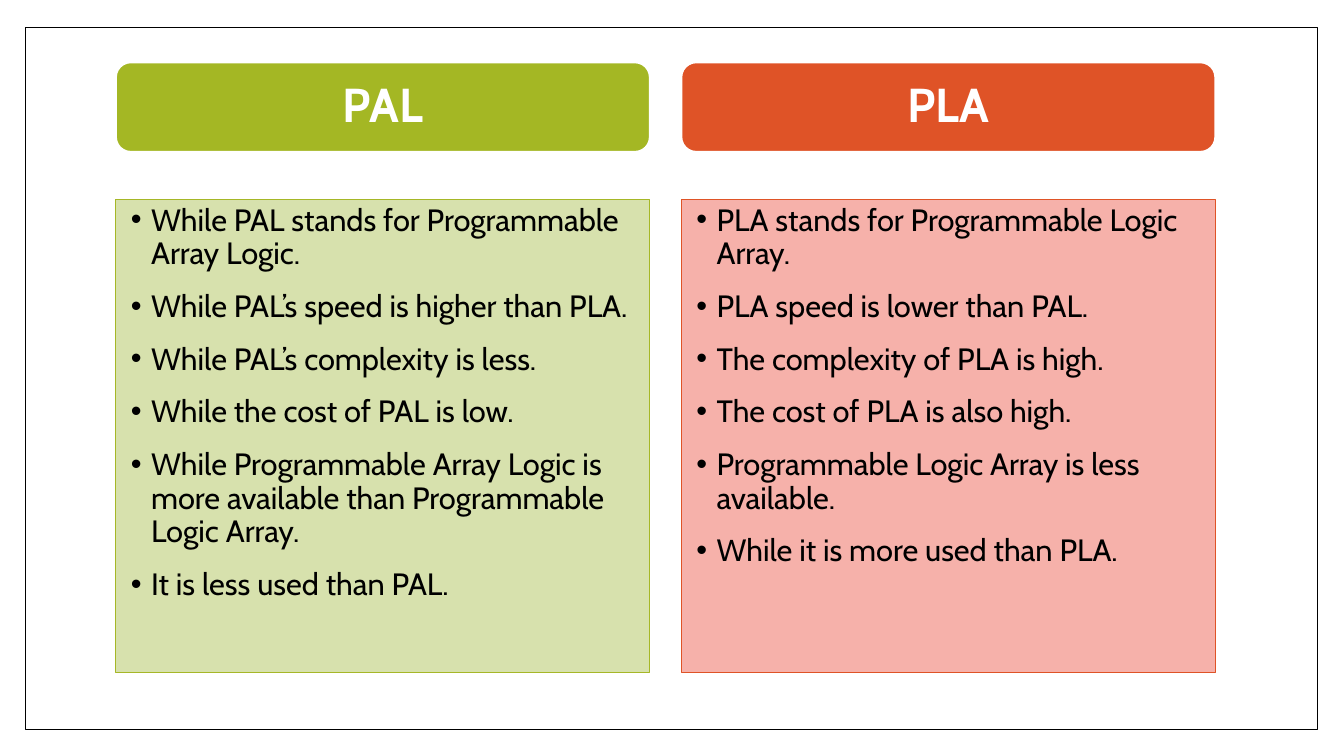
from dataclasses import dataclass

from lxml import etree
from pptx import Presentation
from pptx.dml.color import RGBColor
from pptx.enum.shapes import MSO_SHAPE
from pptx.enum.text import MSO_ANCHOR, PP_ALIGN
from pptx.oxml.ns import qn
from pptx.shapes.autoshape import Shape
from pptx.slide import Slide
from pptx.text.text import _Paragraph
from pptx.util import Cm, Pt

RECTANGLE = MSO_SHAPE.RECTANGLE
ROUNDED = MSO_SHAPE.ROUNDED_RECTANGLE
TOP, MIDDLE = MSO_ANCHOR.TOP, MSO_ANCHOR.MIDDLE
LEFT, CENTER = PP_ALIGN.LEFT, PP_ALIGN.CENTER

COLORS = {
    "white": "FFFFFF",
    "black": "000000",
    "green": "A4B724",
    "green edge": "A6B727",
    "pale green": "D7E1AD",
    "orange": "DF5327",
    "pale red": "F6B1AA",
}
FONT = "Cabin"
COLUMN_LEFT, COLUMN_STEP, COLUMN_WIDTH = 2.92, 14.25, 13.46
HEADER_TOP, HEADER_HEIGHT = 1.57, 2.26
BODY_TOP, BODY_HEIGHT = 5.03, 11.91


@dataclass
class Column:
    """One side of the comparison."""

    heading: str
    header_fill: str
    body_fill: str
    body_edge: str
    points: list[str]


COLUMNS = [
    Column("PAL", "green", "pale green", "green edge", [
        "While PAL stands for Programmable Array Logic.",
        "While PAL’s speed is higher than PLA.",
        "While PAL’s complexity is less.",
        "While the cost of PAL is low.",
        "While Programmable Array Logic is more available than Programmable Logic Array.",
        "It is less used than PAL.",
    ]),
    Column("PLA", "orange", "pale red", "orange", [
        "PLA stands for Programmable Logic Array.",
        "PLA speed is lower than PAL.",
        "The complexity of PLA is high.",
        "The cost of PLA is also high.",
        "Programmable Logic Array is less available.",
        "While it is more used than PLA.",
    ]),
]


def color(name: str) -> RGBColor:
    """Look up a named colour."""
    return RGBColor.from_string(COLORS[name])


def add_box(page: Slide, kind: MSO_SHAPE, left: float, top: float, width: float,
            height: float, fill: str, edge: str, weight: float) -> Shape:
    """Draw a filled and outlined shape, measured in centimetres."""
    box = page.shapes.add_shape(kind, Cm(left), Cm(top), Cm(width), Cm(height))
    box.shadow.inherit = False
    box.fill.solid()
    box.fill.fore_color.rgb = color(fill)
    box.line.color.rgb = color(edge)
    box.line.width = Pt(weight)
    return box


def write(para: _Paragraph, text: str, size: float, ink: str, bold: bool,
          align: PP_ALIGN) -> None:
    """Add one formatted run to a paragraph."""
    para.alignment = align
    para.line_spacing = 0.9
    span = para.add_run()
    span.text = text
    span.font.name = FONT
    span.font.size = Pt(size)
    span.font.bold = bold
    span.font.color.rgb = color(ink)


def add_bullet(para: _Paragraph) -> None:
    """Give a paragraph a hanging black bullet."""
    properties = para._p.get_or_add_pPr()
    properties.set("marL", str(Cm(0.64)))
    properties.set("indent", str(Cm(-0.51)))
    bullet_color = etree.SubElement(properties, qn("a:buClr"))
    etree.SubElement(bullet_color, qn("a:srgbClr"), val=COLORS["black"])
    etree.SubElement(properties, qn("a:buFont"), typeface="Arial")
    etree.SubElement(properties, qn("a:buChar"), char="•")


def add_column(page: Slide, column: Column, left: float) -> None:
    """Draw a heading and its list of points."""
    header = add_box(page, ROUNDED, left, HEADER_TOP, COLUMN_WIDTH, HEADER_HEIGHT,
                     column.header_fill, "white", 1.5)
    header.text_frame.vertical_anchor = MIDDLE
    write(header.text_frame.paragraphs[0], column.heading, 34, "white", True, CENTER)

    body = add_box(page, RECTANGLE, left, BODY_TOP, COLUMN_WIDTH, BODY_HEIGHT,
                   column.body_fill, column.body_edge, 0.79)
    frame = body.text_frame
    frame.word_wrap = True
    frame.vertical_anchor = TOP
    for index, point in enumerate(column.points):
        para = frame.add_paragraph() if index else frame.paragraphs[0]
        para.space_before = Pt(14 if index else 0)
        write(para, point, 22, "black", False, LEFT)
        add_bullet(para)


def main() -> None:
    """Build the comparison slide and save it."""
    deck = Presentation()
    deck.slide_width, deck.slide_height = Cm(33.87), Cm(19.05)
    page = deck.slides.add_slide(deck.slide_layouts.get_by_name("Blank"))
    add_box(page, RECTANGLE, 0.64, 0.69, 32.56, 17.7, "white", "black", 1)
    for index, column in enumerate(COLUMNS):
        add_column(page, column, COLUMN_LEFT + index * COLUMN_STEP)
    deck.save("out.pptx")


if __name__ == "__main__":
    main()
